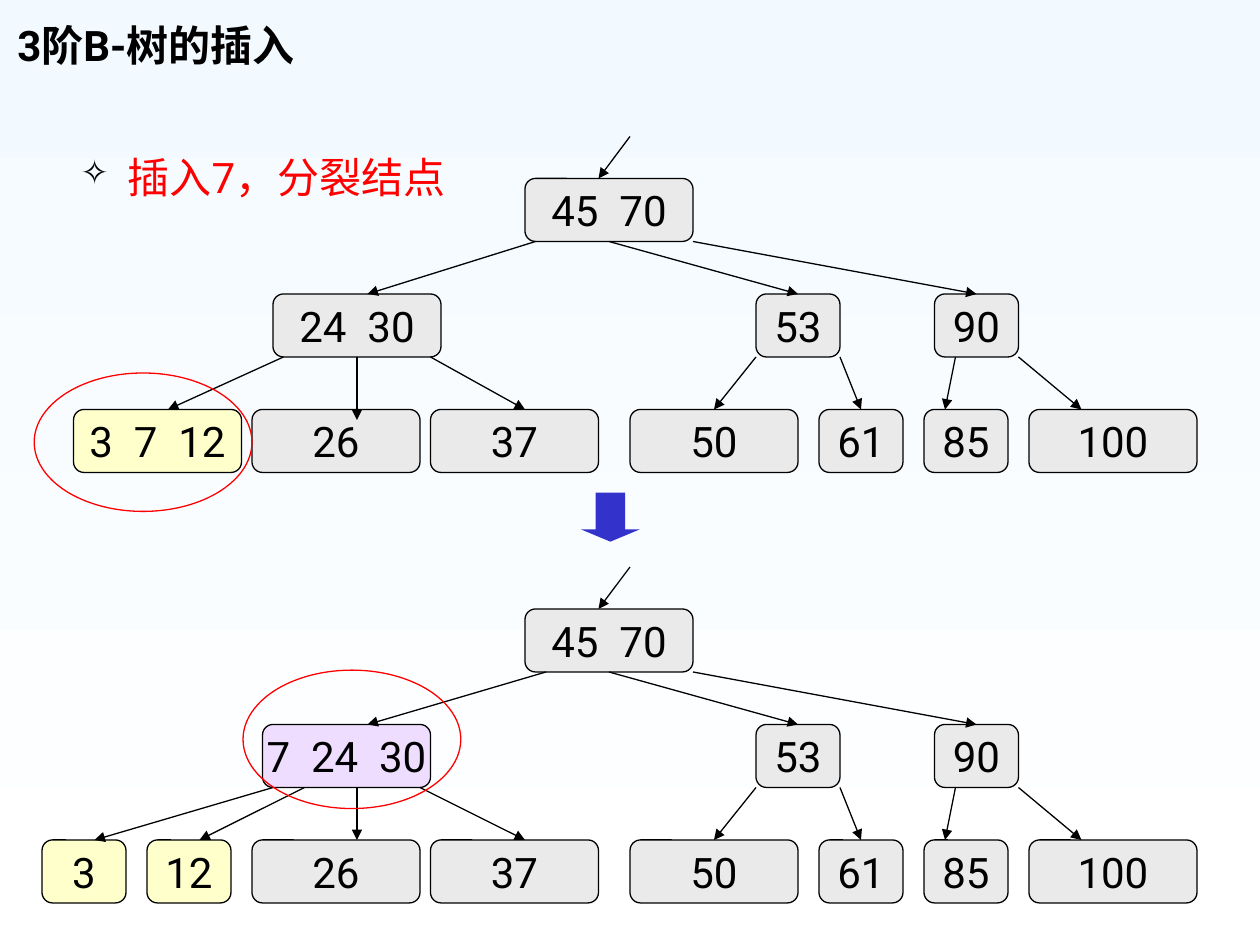
"""Slide: inserting 7 into a B-tree of order 3, before and after the split."""
import pptx
import pptx.dml.color
import pptx.enum.shapes
import pptx.enum.text
import pptx.oxml.ns
import pptx.util
import lxml.etree

Cm = pptx.util.Cm
qn = pptx.oxml.ns.qn
Kind = pptx.enum.shapes.MSO_SHAPE
Align = pptx.enum.text.PP_ALIGN
Anchor = pptx.enum.text.MSO_ANCHOR
FONT = {"name": "Roboto", "size": pptx.util.Pt(24)}
THIN = pptx.util.Pt(0.75)
BLACK, RED, GREY = "000000", "FF0000", "EAEAEA"
CREAM, LILAC, BLUE = "FFFFCC", "EEDDFF", "3333CC"


def hue(code):
    return pptx.dml.color.RGBColor.from_string(code)


def write(shape, text, ink, align, bold=False, **form):
    for key, val in form.items():
        setattr(shape.text_frame, key, val)
    para = shape.text_frame.paragraphs[0]
    para.alignment = align
    run = para.add_run()
    run.text = text
    for key, val in {**FONT, "bold": bold}.items():
        setattr(run.font, key, val)
    run.font.color.rgb = hue(ink)
    return para


deck = pptx.Presentation()
deck.slide_width, deck.slide_height = Cm(25.4), Cm(19.05)
slide = deck.slides.add_slide(deck.slide_layouts[6])
back = slide.background.fill
back.gradient()
back.gradient_angle = 270
for stop, code in zip(back.gradient_stops, ("F3FAFF", "FFFFFF")):
    stop.color.rgb = hue(code)

title = slide.shapes.add_textbox(Cm(0.1), Cm(0.13), Cm(21.64), Cm(1.4))
write(title, "3阶B-树的插入", BLACK, Align.LEFT, True,
      word_wrap=True, vertical_anchor=Anchor.BOTTOM)

# Grid
step = Cm(2.54) // 12
high = 6
nodes = [
    (50, 0, 16, "45  70", GREY), (72, 11, 8, "53", GREY),
    (89, 11, 8, "90", GREY), (24, 22, 16, "26", GREY),
    (41, 22, 16, "37", GREY), (60, 22, 16, "50", GREY),
    (78, 22, 8, "61", GREY), (88, 22, 8, "85", GREY),
    (98, 22, 16, "100", GREY),
]
links = [
    (60, -4, 57, 0), (58, 6, 76, 11), (66, 6, 93, 11), (72, 17, 68, 22),
    (80, 17, 82, 22), (91, 17, 90, 22), (97, 17, 103, 22),
]
trees = [
    (17, slide.shapes,
     [(26, 11, 16, "24  30", GREY), (7, 22, 16, "3  7  12", CREAM)],
     [(51, 6, 35, 11), (27, 17, 16, 22), (34, 17, 34, 23),
      (41, 17, 50, 22)]),
    (58, slide.shapes.add_group_shape().shapes,
     [(25, 11, 16, "7  24  30", LILAC), (4, 22, 8, "3", CREAM),
      (14, 22, 8, "12", CREAM)],
     [(52, 6, 35, 11), (26, 17, 9, 22), (29, 17, 19, 22),
      (34, 17, 34, 22), (40, 17, 50, 22)]),
]
for base, home, own, more in trees:
    ports = {}
    for left, top, wide, text, code in nodes + own:
        node = home.add_shape(Kind.ROUNDED_RECTANGLE, left * step,
                              (base + top) * step, wide * step, high * step)
        node.shadow.inherit = False
        node.fill.solid()
        node.fill.fore_color.rgb = hue(code)
        node.line.color.rgb = hue(BLACK)
        node.line.width = THIN
        write(node, text, BLACK, Align.CENTER,
              word_wrap=False, vertical_anchor=Anchor.MIDDLE)
        mid = left + wide // 2
        ports[mid, top] = node, 0
        ports[mid, top + high] = node, 2
    for x, y, to_x, to_y in links + more:
        link = home.add_connector(
            pptx.enum.shapes.MSO_CONNECTOR.STRAIGHT, x * step,
            (base + y) * step, to_x * step, (base + to_y) * step)
        link.line.color.rgb = hue(BLACK)
        link.line.width = THIN
        props = link.element.spPr
        lxml.etree.SubElement(props.find(qn("a:ln")), qn("a:tailEnd"),
                              type="triangle")
        lxml.etree.SubElement(props, qn("a:effectLst"))
        if (x, y) in ports:
            link.begin_connect(*ports[x, y])
        if (to_x, to_y) in ports:
            link.end_connect(*ports[to_x, to_y])

note = slide.shapes.add_textbox(Cm(0.69), Cm(2.92), Cm(9.22), Cm(1.42))
para = write(note, "插入7，分裂结点", RED, Align.CENTER, word_wrap=True)
props = para._p.get_or_add_pPr()
props.set("marL", str(Cm(0.95)))
props.set("indent", str(Cm(-0.95)))
tint = lxml.etree.SubElement(props, qn("a:buClr"))
lxml.etree.SubElement(tint, qn("a:srgbClr"), val=BLACK)
lxml.etree.SubElement(props, qn("a:buSzPct"), val="80000")
lxml.etree.SubElement(props, qn("a:buChar"), char="✧")

arrow = slide.shapes.add_shape(Kind.DOWN_ARROW, Cm(11.71), Cm(9.93),
                               Cm(1.19), Cm(0.99))
arrow.shadow.inherit = False
arrow.adjustments[1] = 0.25
arrow.fill.solid()
arrow.fill.fore_color.rgb = hue(BLUE)
arrow.line.fill.background()

for left, top in ((0.69, 7.52), (4.9, 13.51)):
    ring = slide.shapes.add_shape(Kind.OVAL, Cm(left), Cm(top),
                                  Cm(4.39), Cm(2.79))
    ring.shadow.inherit = False
    ring.fill.background()
    ring.line.color.rgb = hue(RED)
    ring.line.width = THIN

deck.save("out.pptx")
